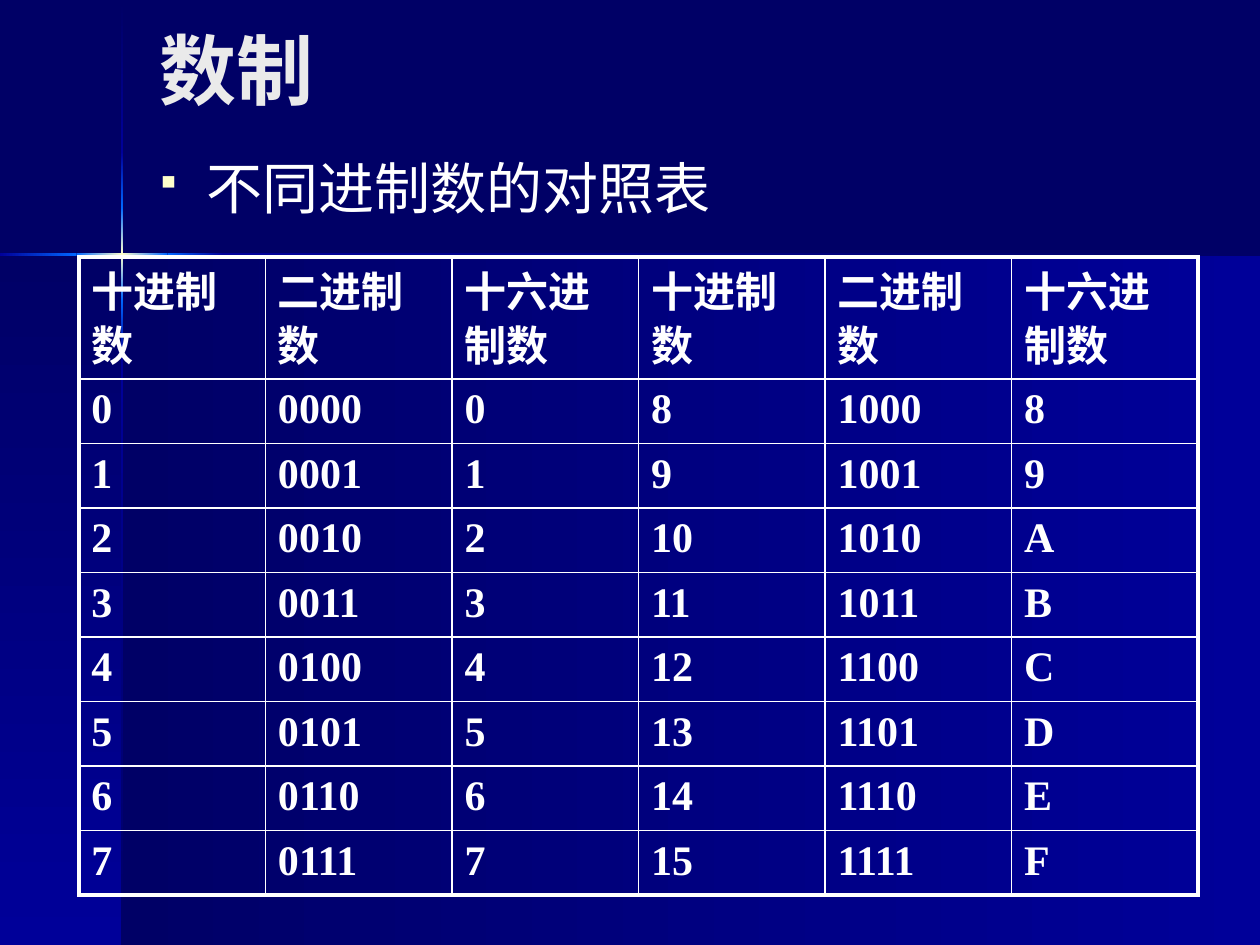
from dataclasses import dataclass
from itertools import pairwise

from lxml.etree import SubElement
from pptx import Presentation
from pptx.dml.color import RGBColor
from pptx.enum.shapes import MSO_SHAPE as Shape
from pptx.enum.text import MSO_ANCHOR as Anchor
from pptx.oxml.ns import qn
from pptx.util import Cm, Pt


@dataclass(frozen=True)
class Theme:
    font: str = "Times New Roman"
    bullet_font: str = "Wingdings"
    night: str = "000066"
    navy: str = "000099"
    azure: str = "0066FF"
    cream: str = "FFFFCC"
    heading: str = "EAEAEA"
    white: str = "FFFFFF"
    title_size: int = 44
    body_size: int = 32
    cell_size: int = 24
    outer_line: float = 2.25
    inner_line: float = 1


def add_xml(parent, tag, **attributes):
    child = SubElement(parent, qn(tag))
    for key, value in attributes.items():
        child.set(key, str(value))
    return child


class SlideBuilder:
    def __init__(self, slide, theme):
        self.slide = slide
        self.theme = theme

    def background(self, color):
        fill = self.slide.background.fill
        fill.solid()
        fill.fore_color.rgb = RGBColor.from_string(color)

    def gradient_panel(self, left, top, width, height, colors, angle):
        """Draw a borderless rectangle with evenly spaced colour stops."""
        panel = self.slide.shapes.add_shape(
            Shape.RECTANGLE, Cm(left), Cm(top), Cm(width), Cm(height))
        panel.shadow.inherit = False
        panel.line.fill.background()
        panel.fill.gradient()
        gradient = panel.fill._fill._gradFill
        for child in list(gradient):
            gradient.remove(child)
        stops = add_xml(gradient, "a:gsLst")
        for i, color in enumerate(colors):
            stop = add_xml(stops, "a:gs", pos=100000 * i // (len(colors) - 1))
            add_xml(stop, "a:srgbClr", val=color)
        add_xml(gradient, "a:lin", ang=angle * 60000, scaled=0)

    def style(self, paragraph, size, color, bold=False):
        font = paragraph.font
        font.name = self.theme.font
        font.size = Pt(size)
        font.bold = bold
        font.color.rgb = RGBColor.from_string(color)

    def text(self, content, left, top, width, height, size, color,
             bold=False, anchor=Anchor.TOP):
        frame = self.slide.shapes.add_textbox(
            Cm(left), Cm(top), Cm(width), Cm(height)).text_frame
        frame.word_wrap = True
        frame.vertical_anchor = anchor
        frame.text = content
        paragraph = frame.paragraphs[0]
        self.style(paragraph, size, color, bold)
        return paragraph

    def bullet(self, content, left, top, width, height):
        """Add one line marked by a square, which Wingdings keeps at §."""
        theme = self.theme
        paragraph = self.text(content, left, top, width, height,
                              theme.body_size, theme.white)
        paragraph.space_before = Pt(0.2 * theme.body_size)
        properties = paragraph._p.get_or_add_pPr()
        indent = Cm(0.95)
        properties.set("marL", str(indent))
        properties.set("indent", str(-indent))
        defaults = properties.find(qn("a:defRPr"))
        color = add_xml(properties, "a:buClr")
        add_xml(color, "a:srgbClr", val=theme.cream)
        add_xml(properties, "a:buSzPct", val=70000)
        add_xml(properties, "a:buFont", typeface=theme.bullet_font,
                pitchFamily=2, charset=2)
        add_xml(properties, "a:buChar", char="§")
        properties.append(defaults)

    def cell_borders(self, cell, outer):
        """Draw the four sides, heavier for those named in outer."""
        theme = self.theme
        properties = cell._tc.get_or_add_tcPr()
        for side in "LRTB":
            weight = theme.outer_line if side in outer else theme.inner_line
            line = add_xml(properties, f"a:ln{side}", w=Pt(weight))
            fill = add_xml(line, "a:solidFill")
            add_xml(fill, "a:srgbClr", val=theme.white)

    def table(self, rows, left, top, column_width, header_height, row_height):
        theme = self.theme
        last_row, last_column = len(rows) - 1, len(rows[0]) - 1
        table = self.slide.shapes.add_table(
            len(rows), len(rows[0]), Cm(left), Cm(top),
            Cm(column_width * len(rows[0])),
            Cm(header_height + row_height * last_row)).table
        table.first_row = table.horz_banding = False
        for column in table.columns:
            column.width = Cm(column_width)
        for r, values in enumerate(rows):
            table.rows[r].height = Cm(row_height if r else header_height)
            for c, value in enumerate(values):
                cell = table.cell(r, c)
                cell.text = value
                cell.vertical_anchor = Anchor.MIDDLE
                paragraph = cell.text_frame.paragraphs[0]
                paragraph.line_spacing = 0.9
                paragraph.space_before = Pt(0.2 * theme.cell_size)
                self.style(paragraph, theme.cell_size, theme.white, bold=True)
                edges = {"L": c == 0, "R": c == last_column,
                         "T": r == 0, "B": r == last_row}
                self.cell_borders(cell, {s for s in edges if edges[s]})
                cell.fill.background()


def backdrop(builder, width, height):
    theme = builder.theme
    night, navy, azure = theme.night, theme.navy, theme.azure
    split_x, split_y, beam = 2.46, 5.13, 0.05
    builder.background(night)
    builder.gradient_panel(split_x, split_y, width - split_x, height - split_y,
                           (night, navy), 0)
    builder.gradient_panel(0, split_y, split_x, height - split_y,
                           (night, navy), 90)
    beam_colors = [(night, navy), (navy, azure), (azure, theme.cream, azure),
                   (azure, navy), (navy, night)]
    vertical_stops = [0.03, 3.07, 4.19, 6.05, 7.16, height]
    horizontal_stops = [0, 1.54, 3.38, 4.5, width]
    for (start, end), colors in zip(pairwise(vertical_stops), beam_colors):
        builder.gradient_panel(split_x - beam / 2, start, beam, end - start,
                               colors, 90)
    for (start, end), colors in zip(pairwise(horizontal_stops), beam_colors[1:]):
        builder.gradient_panel(start, split_y - beam / 2, end - start, beam,
                               colors, 0)


def conversion_rows():
    def forms(n):
        return [str(n), f"{n:04b}", f"{n:X}"]

    header = ["十进制数", "二进制数", "十六进制数"] * 2
    return [header] + [forms(n) + forms(n + 8) for n in range(8)]


def main():
    width, height = 25.4, 19.05
    presentation = Presentation()
    presentation.slide_width, presentation.slide_height = Cm(width), Cm(height)
    theme = Theme()
    slide = presentation.slides.add_slide(presentation.slide_layouts[6])
    builder = SlideBuilder(slide, theme)
    backdrop(builder, width, height)
    builder.text("数制", 2.97, -0.6, 20.96, 3.99, theme.title_size,
                 theme.heading, bold=True, anchor=Anchor.MIDDLE)
    builder.bullet("不同进制数的对照表", 2.97, 2.97, 20.96, 11.43)
    builder.table(conversion_rows(), left=1.59, top=5.18, column_width=3.76,
                  header_height=2.46, row_height=1.3)
    presentation.save("out.pptx")


if __name__ == "__main__":
    main()
